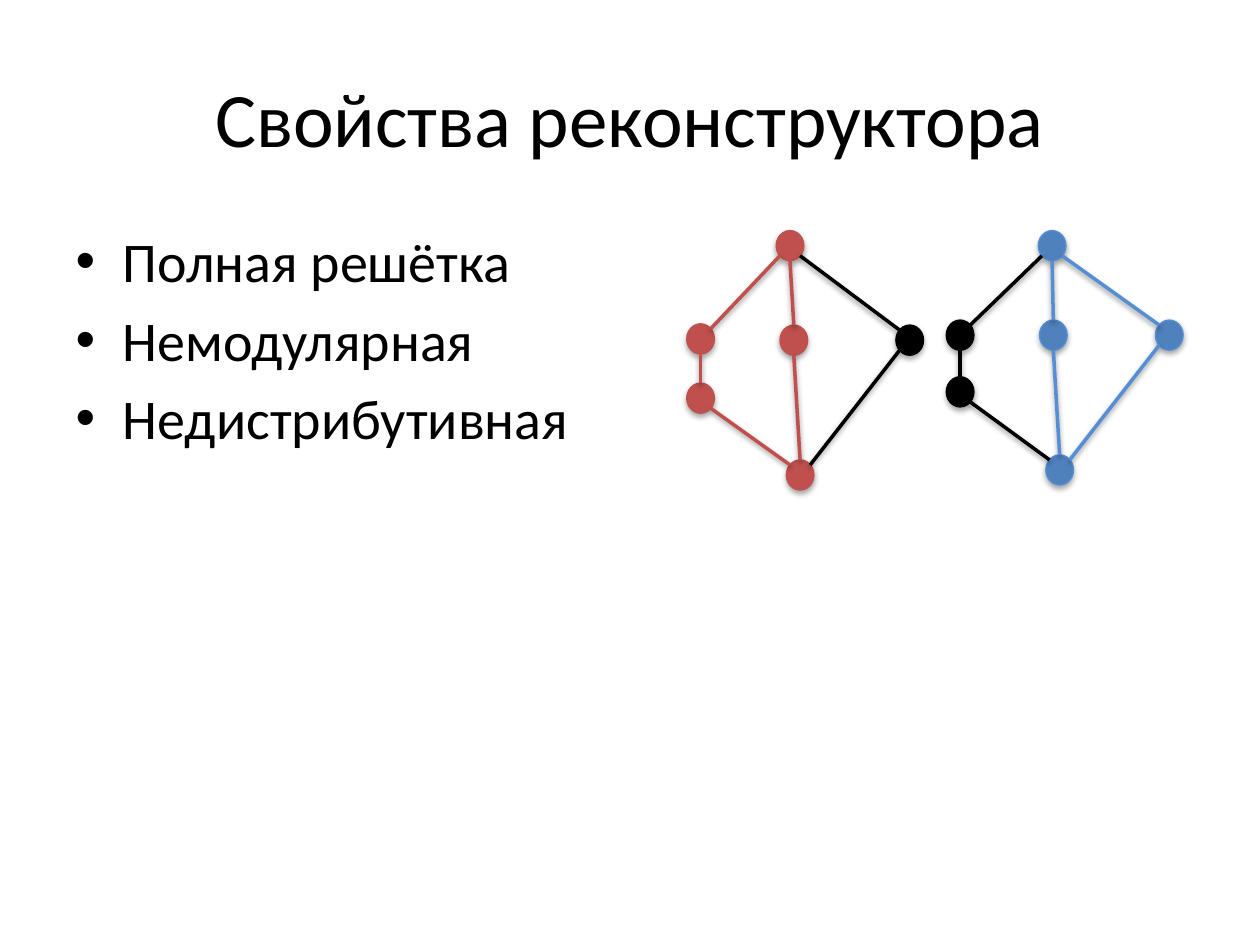
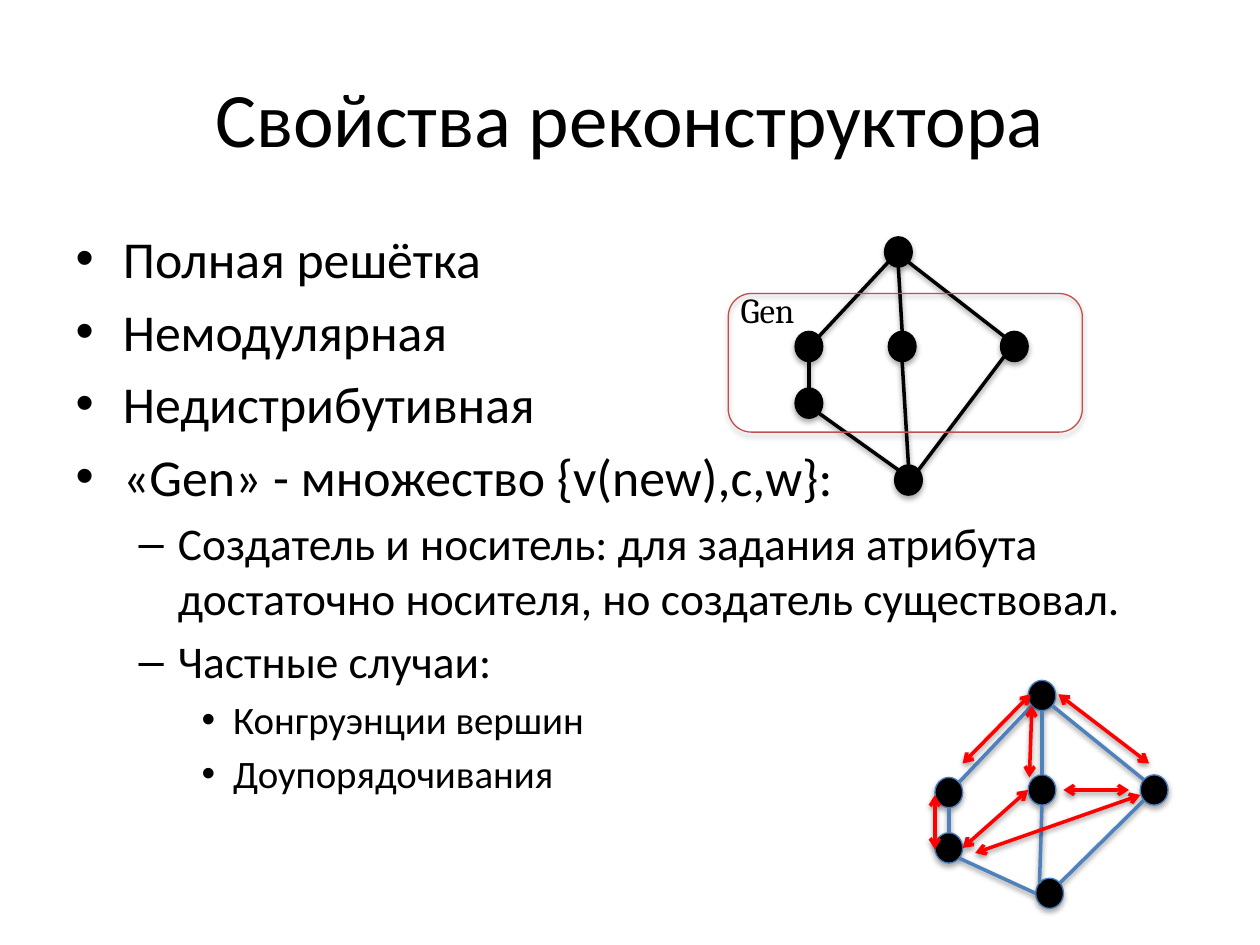
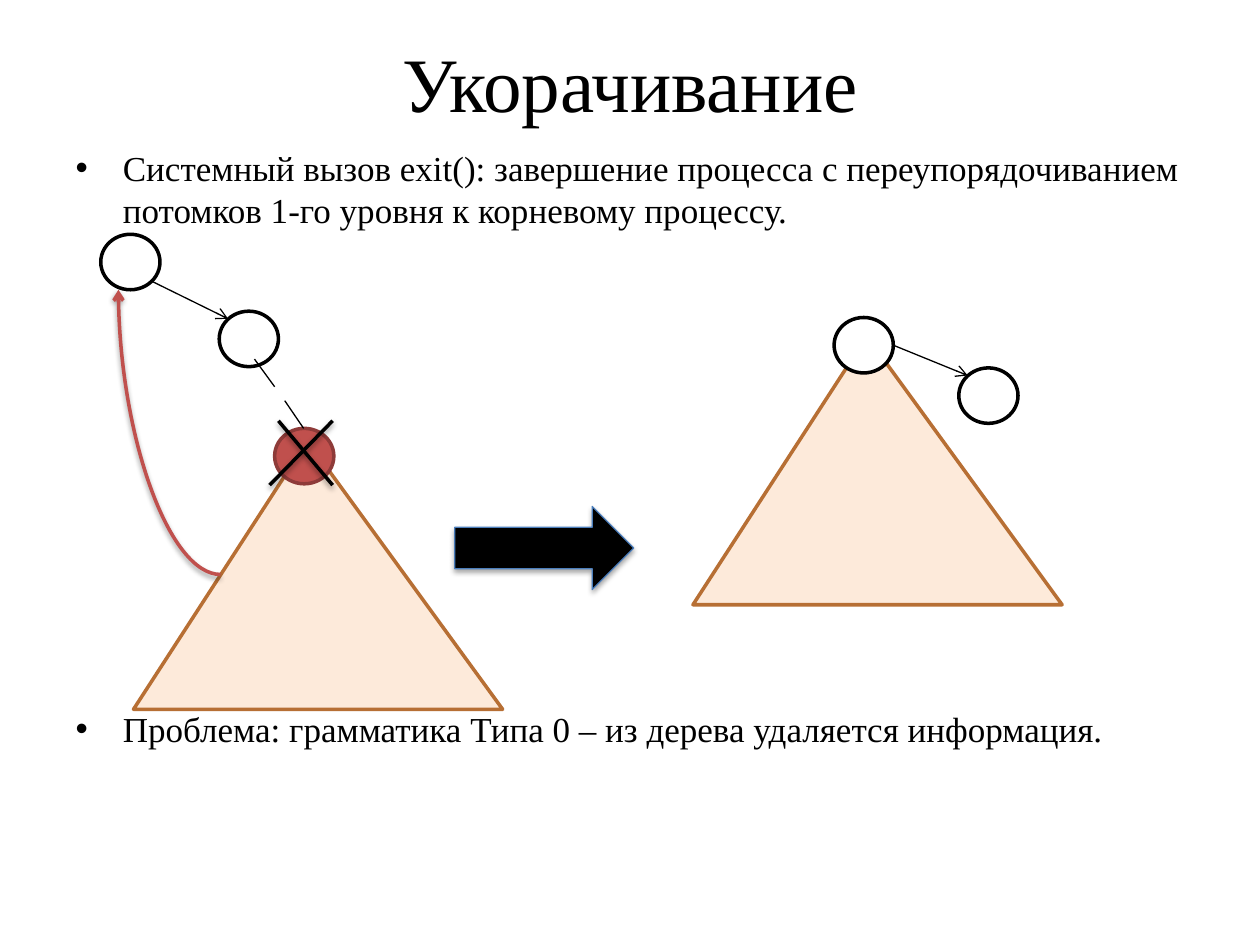
"""Build three slides on lattice properties and process-tree shortening."""
from pptx import Presentation
from pptx.dml.color import RGBColor
from pptx.enum.shapes import MSO_CONNECTOR as CXN, MSO_SHAPE as SHAPE
from pptx.enum.text import MSO_ANCHOR, MSO_AUTO_SIZE, PP_ALIGN
from pptx.oxml.ns import qn
from pptx.util import Pt
from lxml.etree import SubElement

PX = 9144


class Theme:
    black, white, red, arrow_red = "000000", "FFFFFF", "C0504D", "FF0000"
    blue, light_blue, outline_blue = "4F81BD", "558ED5", "4B7EBC"
    dark_red, peach, brown = "8E3B39", "FDEADA", "B76F34"
    sans, serif, label = "Calibri", "Times New Roman", "Cambria"
    title_size, small_size = 44, 20
    full_sizes, fitted_sizes = (32,), (29.6, 25.9, 22.2)
    thin, thick = 0.75, 2


def draw_shape(s, kind, box, fill, line, width=Theme.thin, shadow=True):
    shape = s.shapes.add_shape(kind, *(v * PX for v in box))
    if fill:
        shape.fill.solid()
        shape.fill.fore_color.rgb = RGBColor.from_string(fill)
    else:
        shape.fill.background()
    shape.line.color.rgb = RGBColor.from_string(line)
    shape.line.width = Pt(width)
    if not shadow:
        shape.shadow.inherit = False
    return shape


def draw_line(s, ends, color, width=Theme.thick, arrows=(), shadow=True, kind=CXN.STRAIGHT):
    line = s.shapes.add_connector(kind, *(v * PX for v in ends))
    line.line.color.rgb = RGBColor.from_string(color)
    line.line.width = Pt(width)
    for end in arrows:
        SubElement(line.get_or_add_ln(), qn(f"a:{end}End"), type="arrow")
    if not shadow:
        SubElement(line.element.spPr, qn("a:effectLst"))
    return line


prs = Presentation()
prs.slide_width, prs.slide_height = 1000 * PX, 750 * PX

PROPERTIES = [(0, "Полная решётка"), (0, "Немодулярная"), (0, "Недистрибутивная")]
GENERATORS = [
    (0, "«Gen» - множество {v(new),c,w}:"),
    (1, "Создатель и носитель: для задания атрибута достаточно носителя, но создатель существовал."),
    (1, "Частные случаи:"),
    (2, "Конгруэнции вершин"),
    (2, "Доупорядочивания"),
]
SHORTENING = [
    (0, "Системный вызов exit(): завершение процесса с переупорядочиванием потомков 1-го уровня к корневому процессу."),
    (0, "Проблема: грамматика Типа 0 – из дерева удаляется информация."),
]
PAGES = [
    ("Свойства реконструктора", 30, (50, 175, 900, 495), Theme.sans, Theme.full_sizes, PROPERTIES),
    ("Свойства реконструктора", 30, (50, 175, 900, 495), Theme.sans, Theme.fitted_sizes, PROPERTIES + GENERATORS),
    ("Укорачивание", 2, (50, 111, 900, 619), Theme.serif, (Theme.small_size,), SHORTENING),
]
for title, title_top, body_box, font, sizes, items in PAGES:
    s = prs.slides.add_slide(prs.slide_layouts[1])
    head, body = s.placeholders
    boxes = (50, title_top, 900, 125), body_box
    for holder, box in zip((head, body), boxes):
        holder.left, holder.top, holder.width, holder.height = (v * PX for v in box)
        holder.text_frame.auto_size = MSO_AUTO_SIZE.NONE
    head.text_frame.text = title
    head.text_frame.vertical_anchor = MSO_ANCHOR.MIDDLE
    head.text_frame.paragraphs[0].alignment = PP_ALIGN.CENTER
    tf = body.text_frame
    tf.text = "\n".join(text for _, text in items)
    tf.paragraphs[0].space_before = Pt(0)
    for p, (level, _) in zip(tf.paragraphs, items):
        p.level = level
        p.runs[0].font.size = Pt(sizes[level])
    head.text_frame.paragraphs[0].runs[0].font.size = Pt(Theme.title_size)
    for p in (*head.text_frame.paragraphs, *tf.paragraphs):
        p.runs[0].font.name = font
        p.runs[0].font.color.rgb = RGBColor.from_string(Theme.black)

lattice_slide, gen_slide, tree_slide = prs.slides
tree_slide.placeholders[1].text_frame.paragraphs[1].space_before = Pt(273)

NODE_W, NODE_H = 22, 24
SITES = {
    "N": (11, 0), "S": (11, 24), "W": (0, 12),
    "NW": (3, 4), "NE": (19, 4), "SW": (3, 20), "SE": (19, 20),
}
EDGES = [
    ("left", "NE", "top", "SW"), ("top", "S", "mid", "N"), ("top", "SE", "right", "NW"),
    ("left", "S", "low", "N"), ("low", "SE", "bottom", "NW"),
    ("mid", "S", "bottom", "N"), ("right", "SW", "bottom", "NE"),
]
FLAT_EDGES = EDGES[:4] + [
    ("low", "SE", "bottom", "W"), ("mid", "S", "bottom", "NW"), ("right", "SW", "bottom", "NE"),
]
NAMES = "top", "left", "low", "bottom", "mid", "right"
LATTICES = [
    (lattice_slide, [(616, 183), (545, 257), (545, 304), (624, 365), (619, 258), (711, 258)],
     EDGES, Theme.red, Theme.red, Theme.red, {"right"}),
    (lattice_slide, [(824, 183), (751, 254), (751, 299), (830, 361), (825, 254), (917, 254)],
     EDGES, Theme.blue, Theme.light_blue, Theme.light_blue, {"left", "low"}),
    (gen_slide, [(702, 188), (631, 263), (631, 308), (710, 369), (705, 263), (794, 263)],
     EDGES, Theme.black, Theme.black, Theme.black, set()),
    (gen_slide, [(816, 540), (742, 617), (742, 661), (822, 697), (816, 615), (905, 615)],
     FLAT_EDGES, Theme.black, Theme.outline_blue, Theme.blue, set()),
]
for s, places, edges, fill, outline, edge_color, black_nodes in LATTICES:
    nodes = dict(zip(NAMES, places))
    for name, (x, y) in nodes.items():
        colors = (Theme.black, Theme.black) if name in black_nodes else (fill, outline)
        draw_shape(s, SHAPE.OVAL, (x, y, NODE_W, NODE_H), *colors)
    for start, start_site, end, end_site in edges:
        ends = [a + b for name, site in ((start, start_site), (end, end_site))
                for a, b in zip(nodes[name], SITES[site])]
        draw_line(s, ends, Theme.black if black_nodes & {start, end} else edge_color)

draw_shape(gen_slide, SHAPE.ROUNDED_RECTANGLE, (578, 233, 281, 110), None, Theme.red)
tf = gen_slide.shapes.add_textbox(*(v * PX for v in (578, 224, 98, 44))).text_frame
tf.word_wrap = True
tf.text = "Gen"
r = tf.paragraphs[0].runs[0]
r.font.name, r.font.size = Theme.label, Pt(Theme.small_size)
r.font.color.rgb = RGBColor.from_string(Theme.black)

RELATIONS = [
    (742, 674, 742, 631), (764, 606, 818, 551), (817, 617, 819, 560), (764, 673, 816, 627),
    (774, 677, 905, 631), (844, 627, 896, 627), (912, 606, 840, 551),
]
for ends in RELATIONS:
    draw_line(gen_slide, ends, Theme.arrow_red, arrows=("head", "tail"))

s = tree_slide
for x, y in ((106, 350), (550, 267)):
    subtree = draw_shape(s, SHAPE.ISOSCELES_TRIANGLE, (x, y, 293, 213), Theme.peach, Theme.brown, Theme.thick, False)
    subtree.adjustments[0] = 0.471
PROCESSES = [
    (218, 340, Theme.red, Theme.dark_red), (662, 252, Theme.white, Theme.black),
    (174, 247, Theme.white, Theme.black), (80, 186, Theme.white, Theme.black),
    (761, 292, Theme.white, Theme.black),
]
for x, y, fill, outline in PROCESSES:
    draw_shape(s, SHAPE.OVAL, (x, y, 47, 44), fill, outline, Theme.thick, False)
for ends in ((264, 334, 214, 385), (221, 334, 264, 385)):
    draw_line(s, ends, Theme.black)
draw_shape(s, SHAPE.RIGHT_ARROW, (361, 402, 142, 66), Theme.black, Theme.outline_blue)
for ends in ((226, 318, 241, 340), (202, 285, 218, 307)):
    draw_line(s, ends, Theme.black, Theme.thin, shadow=False)
for ends in ((120, 223, 181, 253), (709, 274, 768, 298)):
    draw_line(s, ends, Theme.black, Theme.thin, ("tail",), False)
adoption = draw_line(s, (175, 456, 94, 230), Theme.red, arrows=("tail",), kind=CXN.CURVE)
adoption.element.spPr.find(qn("a:prstGeom")).set("prst", "curvedConnector2")

prs.save("out.pptx")
